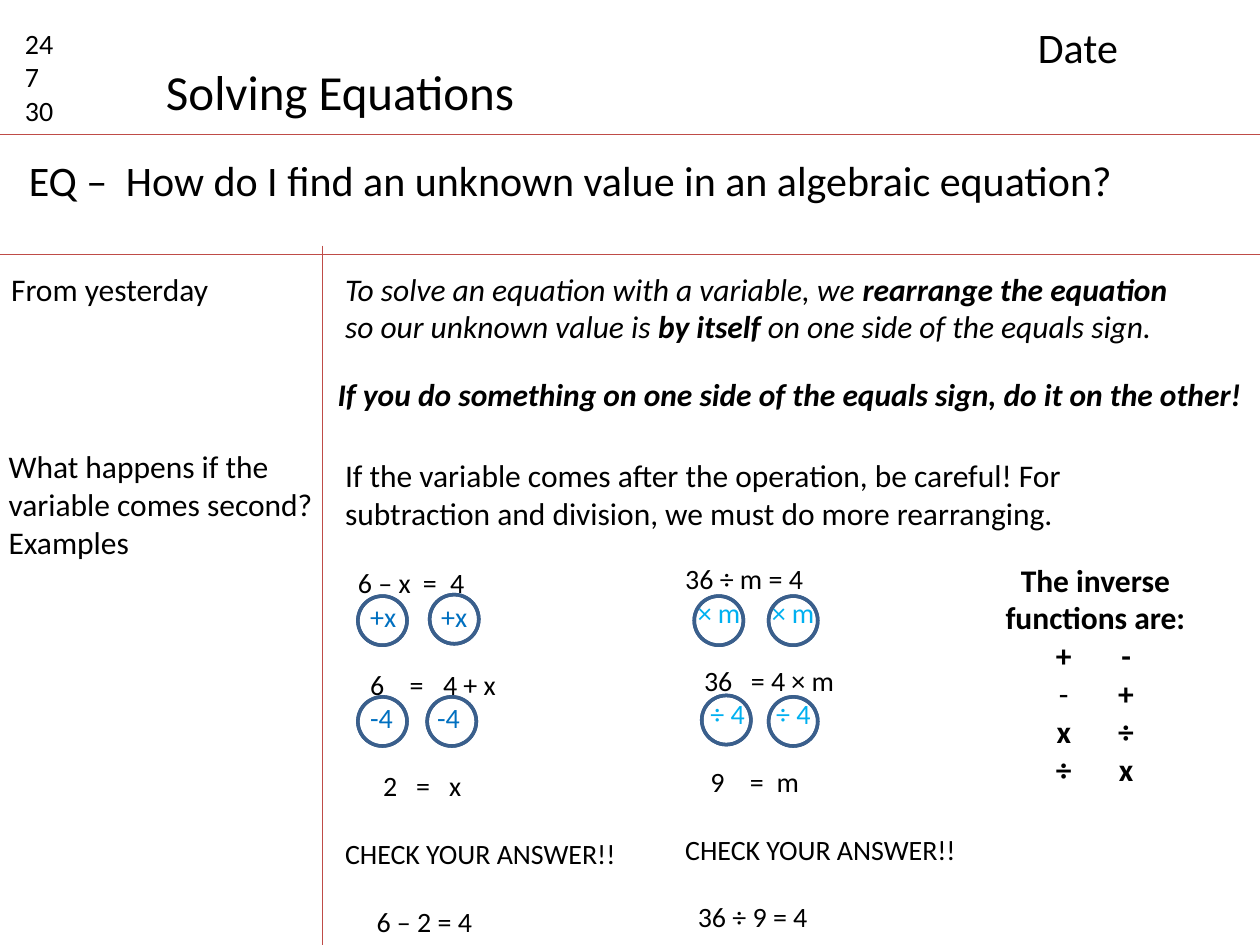
from lxml import etree
from pptx import Presentation
from pptx.dml.color import RGBColor
from pptx.enum import shapes, text
from pptx.oxml.ns import qn
from pptx.util import Pt

BLACK, BLUE, SKY = "000000", "0070C0", "00B0F0"
RULE, RING_FILL, RING_LINE = "BF4C48", "4F81BD", "3A5F8C"
GAP = 19.5  # one empty 16 pt line

# Page rules: x1, y1, x2, y2
RULES = [(0, 77, 720, 77), (0, 145.5, 720, 145.5), (184.3, 140.4, 184.3, 543)]

# Paragraphs: runs (a string, or (string, bold) pairs) and their settings
INTRO = [("To solve an equation with a variable, we ", False),
         ("rearrange the equation ", True),
         ("so our unknown value is ", False),
         ("by itself ", True),
         ("on one side of the equals sign.", False)]
BODY = [
    (INTRO, dict(size=18, italic=True)),
    ("If the variable comes after the operation, be careful! For subtraction "
     "and division, we must do more rearranging.", dict(size=18, before=63.5)),
    ("\t6 – x\t=\t4", dict(tabs=(7.4, 44.5, 60), before=GAP)),
    ("\t+x\t+x", dict(tabs=(14.4, 55), color=BLUE)),
    ("\t6\t=\t4 + x", dict(tabs=(14.4, 37, 56), before=GAP)),
    ("\t-4\t-4", dict(tabs=(14.4, 52.6), color=BLUE)),
    ("\t2\t=\tx", dict(tabs=(21.7, 40.7, 59.5), before=GAP)),
    ("CHECK YOUR ANSWER!!", dict(before=GAP)),
    ("\t6 – 2 = 4", dict(tabs=(18,), before=GAP)),
]
DIVISION = [
    ("36 ÷ m = 4", {}),
    ("\t× m\t× m", dict(tabs=(7.2, 49.5), color=SKY)),
    ("\t36\t= 4 × m", dict(tabs=(10.8, 37.5), before=GAP)),
    ("\t÷ 4\t÷ 4", dict(tabs=(14.4, 52), color=SKY)),
    ("\t9\t=\tm", dict(tabs=(14.4, 37, 52.3), before=GAP)),
    ("CHECK YOUR ANSWER!!", dict(before=GAP)),
    ("\t36 ÷ 9 = 4", dict(tabs=(7.2,), before=GAP)),
]
PAIR = dict(size=18, bold=True, tabs=(41.4, 77), tab_align="ctr")
INVERSES = [
    ("The inverse functions are:", dict(size=18, bold=True, center=True)),
    ("\t+\t-", PAIR),
    ([("\t-", False), ("\t+", True)], PAIR),
    ("\tx\t÷", PAIR),
    ("\t÷\tx", PAIR),
]

# Text boxes: left, top, width, height, wrap, paragraphs
BOXES = [
    (7.2, 11.5, 45.4, 65.5, True, [(n, {}) for n in ("24", "7", "30")]),
    (87.8, 31.7, 216, 41, False, [("Solving Equations", dict(size=28))]),
    (586, 8.6, 124.6, 36, True, [("Date", dict(size=24))]),
    (9.4, 85, 679, 36, True,
     [("EQ –\tHow do I find an unknown value in an algebraic equation?",
       dict(size=24, tabs=(55.5,)))]),
    (-2.2, 252, 193.7, 116.6, True,
     [("What happens if the variable comes second?", dict(size=18)),
      ("Examples", dict(size=18))]),
    (190.1, 150.5, 499, 390.2, True, BODY),
    (384.5, 317.5, 211, 220.3, True, DIVISION),
    (559.4, 316.8, 133.2, 138.2, True, INVERSES),
    (185.8, 211, 545, 28.8, True,
     [("If you do something on one side of the equals sign, do it on the other!",
       dict(size=18, bold=True, italic=True))]),
    (-0.7, 150.5, 182.2, 28.8, True, [("From yesterday", dict(size=18))]),
]

# Rings around the inverse steps: left, top
RING = 28.1
RINGS = [(204.5, 340.6), (245.5, 339.8), (396.7, 340.6), (439.2, 340.6),
         (204.5, 398.2), (244.1, 398.2), (401, 397.4), (439.2, 398.2)]


def rgb(value):
    return RGBColor.from_string(value)


def add_tabs(p, stops, align):
    tab_list = etree.SubElement(p._p.get_or_add_pPr(), qn("a:tabLst"))
    for stop in stops:
        etree.SubElement(tab_list, qn("a:tab"), pos=str(Pt(stop)), algn=align)


def fill_paragraph(p, runs, size=16, bold=False, italic=False, color=BLACK,
                   before=0, tabs=(), tab_align="l", center=False):
    if tabs:
        add_tabs(p, tabs, tab_align)
    if before:
        p.space_before = Pt(before)
    if center:
        p.alignment = text.PP_ALIGN.CENTER
    font = p.font
    font.name, font.size, font.italic = "Calibri", Pt(size), italic
    font.color.rgb = rgb(color)
    if isinstance(runs, str):
        font.bold = bold
        p.add_run().text = runs
    else:
        for words, run_bold in runs:
            r = p.add_run()
            r.text, r.font.bold = words, run_bold


def add_text(s, left, top, width, height, wrap, paragraphs):
    tf = s.shapes.add_textbox(Pt(left), Pt(top), Pt(width), Pt(height)).text_frame
    tf.word_wrap = wrap
    tf.auto_size = text.MSO_AUTO_SIZE.SHAPE_TO_FIT_TEXT
    for i, (runs, style) in enumerate(paragraphs):
        p = tf.add_paragraph() if i else tf.paragraphs[0]
        fill_paragraph(p, runs, **style)


def add_rule(s, *ends):
    line = s.shapes.add_connector(shapes.MSO_CONNECTOR.STRAIGHT, *map(Pt, ends))
    line.line.color.rgb = rgb(RULE)
    line.line.width = Pt(0.75)
    etree.SubElement(line._element.spPr, qn("a:effectLst"))


def add_ring(s, left, top):
    sp = s.shapes.add_shape(shapes.MSO_SHAPE.DONUT, Pt(left), Pt(top), Pt(RING), Pt(RING))
    sp.adjustments[0] = 0
    sp.shadow.inherit = False
    sp.fill.solid()
    sp.fill.fore_color.rgb = rgb(RING_FILL)
    sp.line.color.rgb = rgb(RING_LINE)
    sp.line.width = Pt(2)


def main():
    prs = Presentation()
    prs.slide_width, prs.slide_height = Pt(720), Pt(540)
    s = prs.slides.add_slide(prs.slide_layouts[6])
    for rule in RULES:
        add_rule(s, *rule)
    for box in BOXES:
        add_text(s, *box)
    for ring in RINGS:
        add_ring(s, *ring)
    prs.save("out.pptx")


if __name__ == "__main__":
    main()
